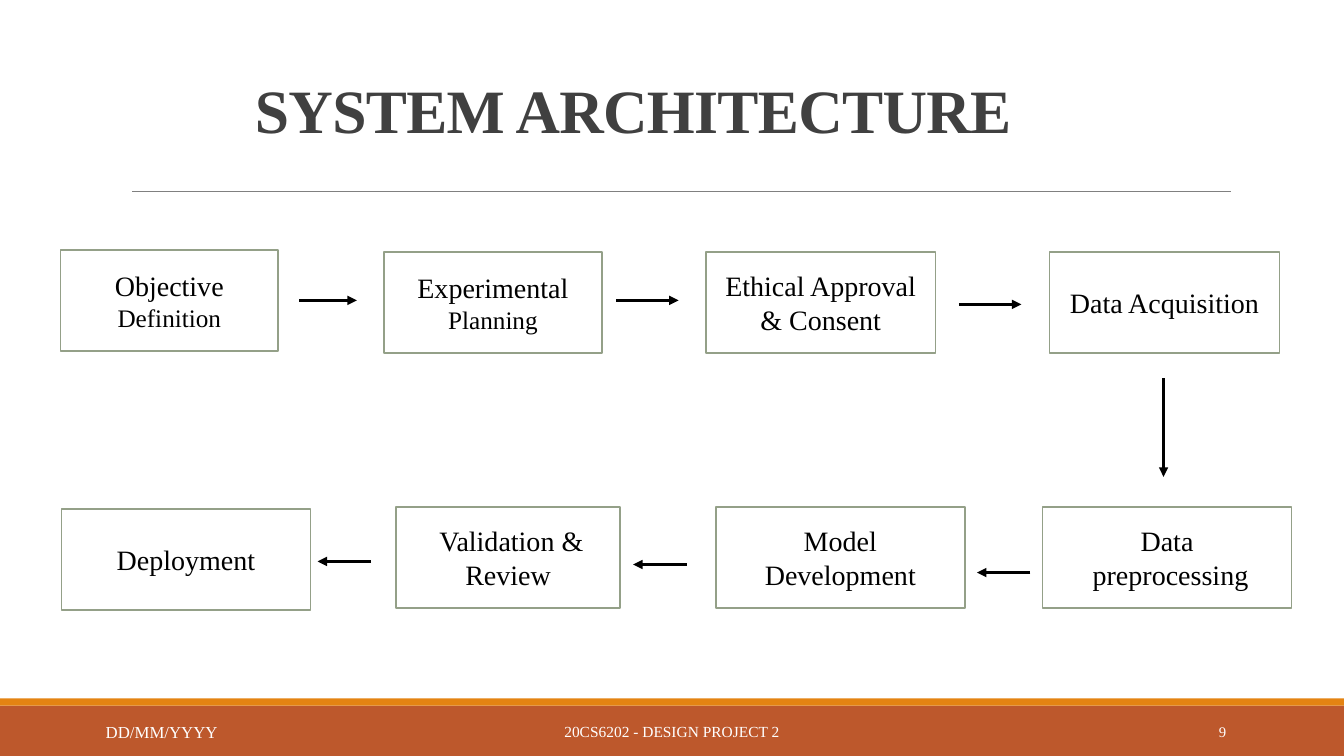
from dataclasses import dataclass

from lxml import etree
from pptx import Presentation
from pptx.dml.color import RGBColor
from pptx.enum.shapes import MSO_CONNECTOR, MSO_SHAPE
from pptx.enum.text import MSO_ANCHOR, PP_ALIGN
from pptx.oxml.ns import qn
from pptx.util import Inches, Pt

LEFT, CENTER, RIGHT = PP_ALIGN.LEFT, PP_ALIGN.CENTER, PP_ALIGN.RIGHT
MIDDLE = MSO_ANCHOR.MIDDLE
RECTANGLE = MSO_SHAPE.RECTANGLE
STRAIGHT = MSO_CONNECTOR.STRAIGHT

FONT = "Times New Roman"
BLACK, WHITE = "000000", "FFFFFF"
SAGE, RUST, ORANGE = "94A088", "BD582C", "E48312"
CHARCOAL, GRAY = "404040", "808080"
STEP_HEIGHT = 1.0


@dataclass
class Step:
    left: float
    top: float
    width: float
    lines: tuple[str, ...]
    smaller_ending: str = ""


@dataclass
class Line:
    x1: float
    y1: float
    x2: float
    y2: float


@dataclass
class FooterItem:
    left: float
    top: float
    width: float
    height: float
    text: str
    size: float
    align: PP_ALIGN


STEPS = [
    Step(0.6, 2.48, 2.16, ("Objective",), " Definition"),
    Step(3.81, 2.5, 2.16, ("Experimental",), " Planning"),
    Step(7, 2.5, 2.28, ("Ethical Approval & Consent",)),
    Step(10.41, 2.5, 2.28, ("Data Acquisition",)),
    Step(10.34, 5.03, 2.47, ("Data", " preprocessing")),
    Step(7.1, 5.03, 2.47, ("Model Development",)),
    Step(3.93, 5.03, 2.22, (" Validation & Review",)),
    Step(0.61, 5.05, 2.47, ("Deployment",)),
]

ARROWS = [
    Line(2.97, 2.98, 3.54, 2.98),
    Line(6.11, 2.98, 6.73, 2.98),
    Line(9.51, 3.02, 10.13, 3.02),
    Line(11.54, 3.75, 11.54, 4.73),
    Line(10.22, 5.68, 9.69, 5.68),
    Line(6.81, 5.6, 6.28, 5.6),
    Line(3.68, 5.57, 3.15, 5.57),
]

FOOTER = [
    FooterItem(0.95, 7.11, 2.59, 0.3, "DD/MM/YYYY", 12, LEFT),
    FooterItem(4.03, 7.06, 5.27, 0.4, "20CS6202 - DESIGN PROJECT 2", 11, CENTER),
    FooterItem(10.83, 7.06, 1.43, 0.4, "9", 10.5, RIGHT),
]


def rgb(value: str) -> RGBColor:
    return RGBColor.from_string(value)


def set_font(font, size: float, color: str) -> None:
    font.name = FONT
    font.size = Pt(size)
    font.color.rgb = rgb(color)


def add_rectangle(slide, left: float, top: float, width: float, height: float, fill: str):
    rectangle = slide.shapes.add_shape(
        RECTANGLE, Inches(left), Inches(top), Inches(width), Inches(height))
    rectangle.shadow.inherit = False
    rectangle.fill.solid()
    rectangle.fill.fore_color.rgb = rgb(fill)
    rectangle.line.fill.background()
    return rectangle


def add_line(slide, line: Line, color: str, width: float, arrow: bool = False) -> None:
    connector = slide.shapes.add_connector(
        STRAIGHT, Inches(line.x1), Inches(line.y1), Inches(line.x2), Inches(line.y2))
    connector.line.color.rgb = rgb(color)
    connector.line.width = Pt(width)
    if arrow:
        outline = connector.line._get_or_add_ln()
        etree.SubElement(outline, qn("a:tailEnd"), type="triangle")
    etree.SubElement(connector._element.spPr, qn("a:effectLst"))


def add_title(slide, text: str) -> None:
    title = slide.shapes.title
    title.left, title.top = Inches(0.78), Inches(0.34)
    title.width, title.height = Inches(11), Inches(1.59)
    title.text_frame.vertical_anchor = MIDDLE
    title.text_frame.text = text
    paragraph = title.text_frame.paragraphs[0]
    paragraph.alignment = CENTER
    paragraph.line_spacing = 0.85
    set_font(paragraph.font, 44, CHARCOAL)
    paragraph.font.bold = True
    paragraph.font._rPr.set("spc", "-50")


def add_step(slide, step: Step) -> None:
    box = add_rectangle(slide, step.left, step.top, step.width, STEP_HEIGHT, WHITE)
    box.line.color.rgb = rgb(SAGE)
    box.line.width = Pt(1.25)
    frame = box.text_frame
    frame.word_wrap = True
    frame.vertical_anchor = MIDDLE
    frame.text = "\n".join(step.lines)
    for paragraph in frame.paragraphs:
        paragraph.alignment = CENTER
        if step.smaller_ending:
            set_font(paragraph.runs[0].font, 20, BLACK)
            ending = paragraph.add_run()
            ending.text = step.smaller_ending
            set_font(ending.font, 18, BLACK)
        else:
            set_font(paragraph.font, 20, BLACK)


def add_footer_item(slide, item: FooterItem) -> None:
    box = slide.shapes.add_textbox(
        Inches(item.left), Inches(item.top), Inches(item.width), Inches(item.height))
    frame = box.text_frame
    frame.word_wrap = True
    frame.vertical_anchor = MIDDLE
    frame.text = item.text
    paragraph = frame.paragraphs[0]
    paragraph.alignment = item.align
    set_font(paragraph.font, item.size, WHITE)


def main() -> None:
    deck = Presentation()
    deck.slide_width, deck.slide_height = Inches(13.33), Inches(7.5)
    slide = deck.slides.add_slide(deck.slide_layouts.get_by_name("Title Only"))

    add_rectangle(slide, 0, 7, 13.33, 0.5, RUST)
    add_rectangle(slide, 0, 6.93, 13.33, 0.07, ORANGE)
    add_line(slide, Line(1.31, 1.9, 12.21, 1.9), GRAY, 0.5)
    add_title(slide, "SYSTEM ARCHITECTURE")
    for item in FOOTER:
        add_footer_item(slide, item)
    for step in STEPS:
        add_step(slide, step)
    for arrow in ARROWS:
        add_line(slide, arrow, BLACK, 2.25, arrow=True)

    deck.save("out.pptx")


if __name__ == "__main__":
    main()
